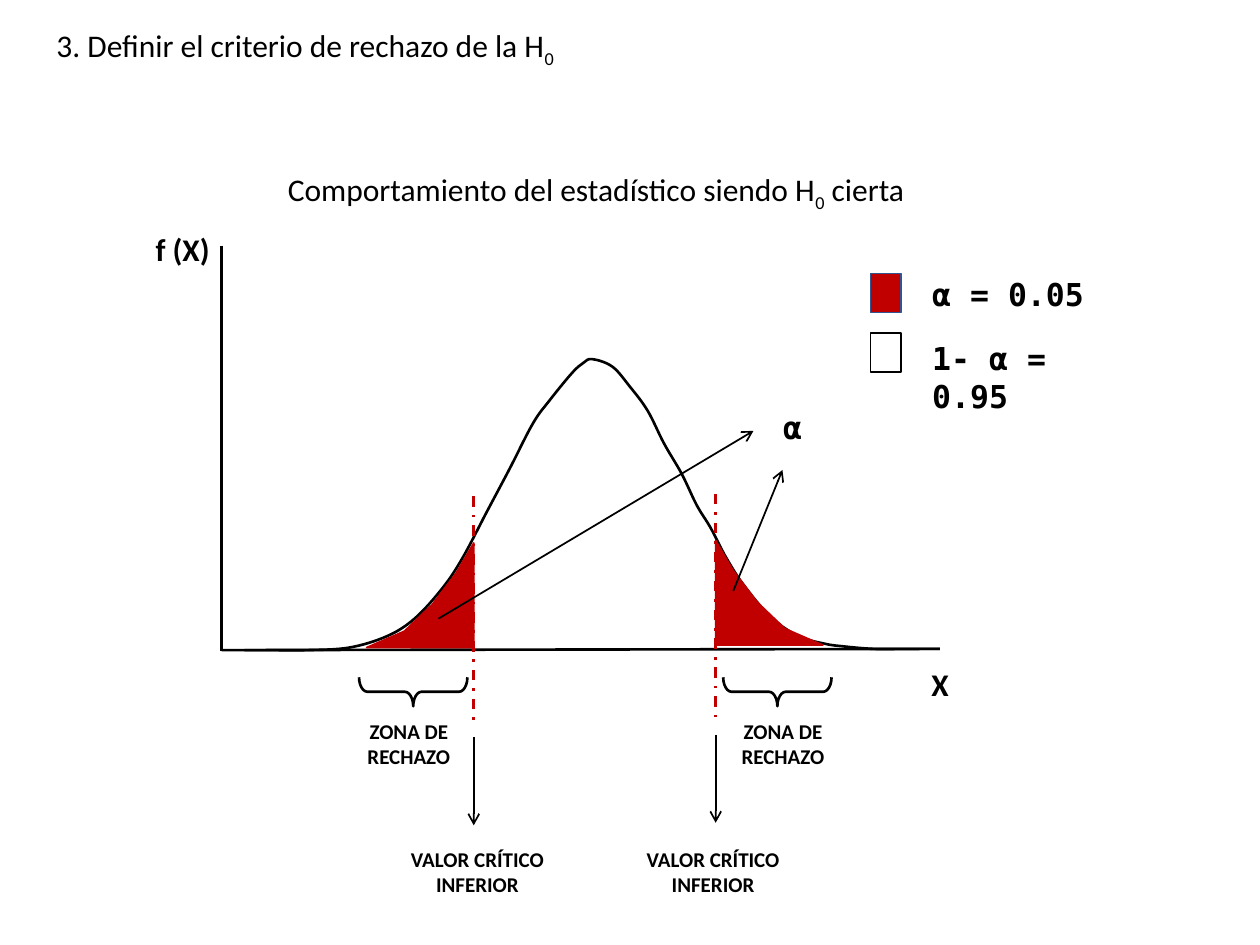
from lxml import etree
from pptx import Presentation
from pptx import util as u
from pptx.dml.color import RGBColor
from pptx.enum import dml, shapes, text
from pptx.oxml import ns

COLS, ROWS = 100, 75
HUES = {"ink": "000000", "red": "C00000", "edge": "325491"}
SANS, MONO = "Calibri", "DejaVu Sans Mono"

BELL = [
    (19.4, 51.6), (21.6, 51.6), (24.3, 51.6), (27.7, 51.4), (30.7, 50.5),
    (32.9, 49.1), (35.1, 46.7), (36.7, 44.3), (38.7, 40.5), (40.5, 37.1),
    (42.3, 33.6), (43.6, 31.8), (45.4, 29.6), (46.3, 28.8), (47, 28.5),
    (48.6, 29.1), (50, 30.7), (51.4, 32.6), (52.7, 35.2), (54.1, 37.6),
    (55.3, 40.1), (56.4, 41.9), (57.6, 44.2), (59, 46.4), (61.2, 49),
    (63.4, 50.5), (65.5, 51.1), (66.9, 51.3), (69.3, 51.5), (71.6, 51.5),
    (72.9, 51.5), (74.6, 51.5),
]
TAIL = [(0, 0), (0, 8.3), (8.5, 8.3), (5.5, 7), (3.3, 4.9), (1.4, 2.4)]


class Board:
    def __init__(self, deck):
        self.wide = deck.slide_width / COLS
        self.high = deck.slide_height / ROWS
        self.items = deck.slides.add_slide(deck.slide_layouts[6]).shapes

    def spot(self, x, y):
        return round(x * self.wide), round(y * self.high)

    def hue(self, name):
        return RGBColor.from_string(HUES[name])

    def pen(self, line, hue, width):
        line.color.rgb = self.hue(hue)
        line.width = u.Pt(width)

    def paint(self, item, fill, edge, width):
        item.shadow.inherit = False
        if fill:
            item.fill.solid()
            item.fill.fore_color.rgb = self.hue(fill)
        else:
            item.fill.background()
        self.pen(item.line, edge, width)

    def shape(self, kind, box, fill=None, edge="ink", width=1.0):
        item = self.items.add_shape(kind, *self.spot(*box[:2]), *self.spot(*box[2:]))
        self.paint(item, fill, edge, width)
        return item

    def brace(self, x, y):
        item = self.shape(shapes.MSO_SHAPE.LEFT_BRACE, (x, y, 2.3, 8.6), width=1.5)
        item.adjustments[0] = 0.29
        item.rotation = 270

    def free(self, points, fill=None, edge="ink", width=1.5):
        first, *rest = [self.spot(*p) for p in points]
        form = self.items.build_freeform(*first, scale=1.0)
        form.add_line_segments(rest, close=bool(fill))
        item = form.convert_to_shape()
        self.paint(item, fill, edge, width)
        return item

    def curve(self, points):
        item = self.free(points)
        track = next(item._element.iter(ns.qn("a:path")))
        knots = [(int(p.get("x")), int(p.get("y"))) for p in track.iter(ns.qn("a:pt"))]
        ends = [knots[0], *knots, knots[-1]]
        for step, a, b, c, d in zip(list(track)[1:], ends, ends[1:], ends[2:], ends[3:]):
            bend = etree.Element(ns.qn("a:cubicBezTo"))
            grips = [
                [q + (r - p) / 6 for p, q, r in zip(a, b, c)],
                [r - (s - q) / 6 for q, r, s in zip(b, c, d)],
                c,
            ]
            for x, y in grips:
                etree.SubElement(bend, ns.qn("a:pt"), x=str(round(x)), y=str(round(y)))
            track.replace(step, bend)

    def line(self, start, end, hue="ink", width=1.5, dash=None, arrow=False):
        item = self.items.add_connector(
            shapes.MSO_CONNECTOR.STRAIGHT, *self.spot(*start), *self.spot(*end))
        self.pen(item.line, hue, width)
        if dash:
            item.line.dash_style = dash
        if arrow:
            tip = etree.SubElement(item.line._get_or_add_ln(), ns.qn("a:tailEnd"))
            tip.set("type", "arrow")
        etree.SubElement(item._element.spPr, ns.qn("a:effectLst"))

    def arrow(self, start, end):
        self.line(start, end, width=1, arrow=True)

    def text(self, box, words, size=18, face=SANS, bold=True, mid=True):
        item = self.items.add_textbox(*self.spot(*box[:2]), *self.spot(*box[2:]))
        frame = item.text_frame
        frame.word_wrap = True
        frame.auto_size = text.MSO_AUTO_SIZE.SHAPE_TO_FIT_TEXT
        para = frame.paragraphs[0]
        para.alignment = text.PP_ALIGN.CENTER if mid else text.PP_ALIGN.LEFT
        font = para.font
        font.name, font.size, font.bold = face, u.Pt(size), bold
        font.color.rgb = self.hue("ink")
        for i, part in enumerate(words.split("_")):
            run = para.add_run()
            run.text = part
            if i == 1:
                run._r.get_or_add_rPr().set("baseline", "-25000")


def main():
    deck = Presentation()
    deck.slide_width, deck.slide_height = u.Inches(10), u.Inches(7.5)
    board = Board(deck)

    board.curve(BELL)
    board.line((17.6, 19.5), (17.6, 51.7))
    board.line((17.6, 51.6), (74.6, 51.5))

    sides = [
        (37.6, 39.4, -1, 31.65, 25.4, 30.1),
        (56.8, 39.2, 1, 60.55, 55.1, 48.8),
    ]
    for cut, top, way, brace, zone, value in sides:
        board.line((cut, top), (cut, top + 17.8), "red", dash=dml.MSO_LINE.DASH_DOT)
        board.free([(cut + way * x, top + 3.7 + y) for x, y in TAIL], "red", "red", 1)
        board.brace(brace, 50.6)
        board.text((zone, 56.5, 14.1, 5), "ZONA DE RECHAZO", 12)
        board.arrow((cut, top + 19.1), (cut, top + 26.1))
        board.text((value, 66.7, 15.6, 5), "VALOR CRÍTICO INFERIOR", 12)

    board.arrow((34.8, 49.1), (59.8, 34.2))
    board.arrow((58.2, 46.9), (62.1, 37.3))
    board.text((9.8, 17.8, 9.4, 4), "f (X)")
    board.text((69.9, 52.3, 9.4, 4), "X")
    board.text((58.2, 31.9, 9.4, 4), "α", face=MONO)

    keys = [
        (21.7, 21.3, 16.4, "red", "edge", "α = 0.05"),
        (26.4, 26.4, 17.2, None, "ink", "1- α = 0.95"),
    ]
    for top, base, width, fill, edge, words in keys:
        board.shape(shapes.MSO_SHAPE.RECTANGLE, (69.1, top, 2.4, 3.1), fill, edge)
        board.text((73, base, width, 4), words, face=MONO, mid=False)

    board.text((3.5, 1.6, 95.3, 4), "3. Definir el criterio de rechazo de la H_0",
               bold=False, mid=False)
    board.text((18.8, 13, 57, 4), "Comportamiento del estadístico siendo H_0_ cierta",
               bold=False)
    deck.save("out.pptx")


if __name__ == "__main__":
    main()
